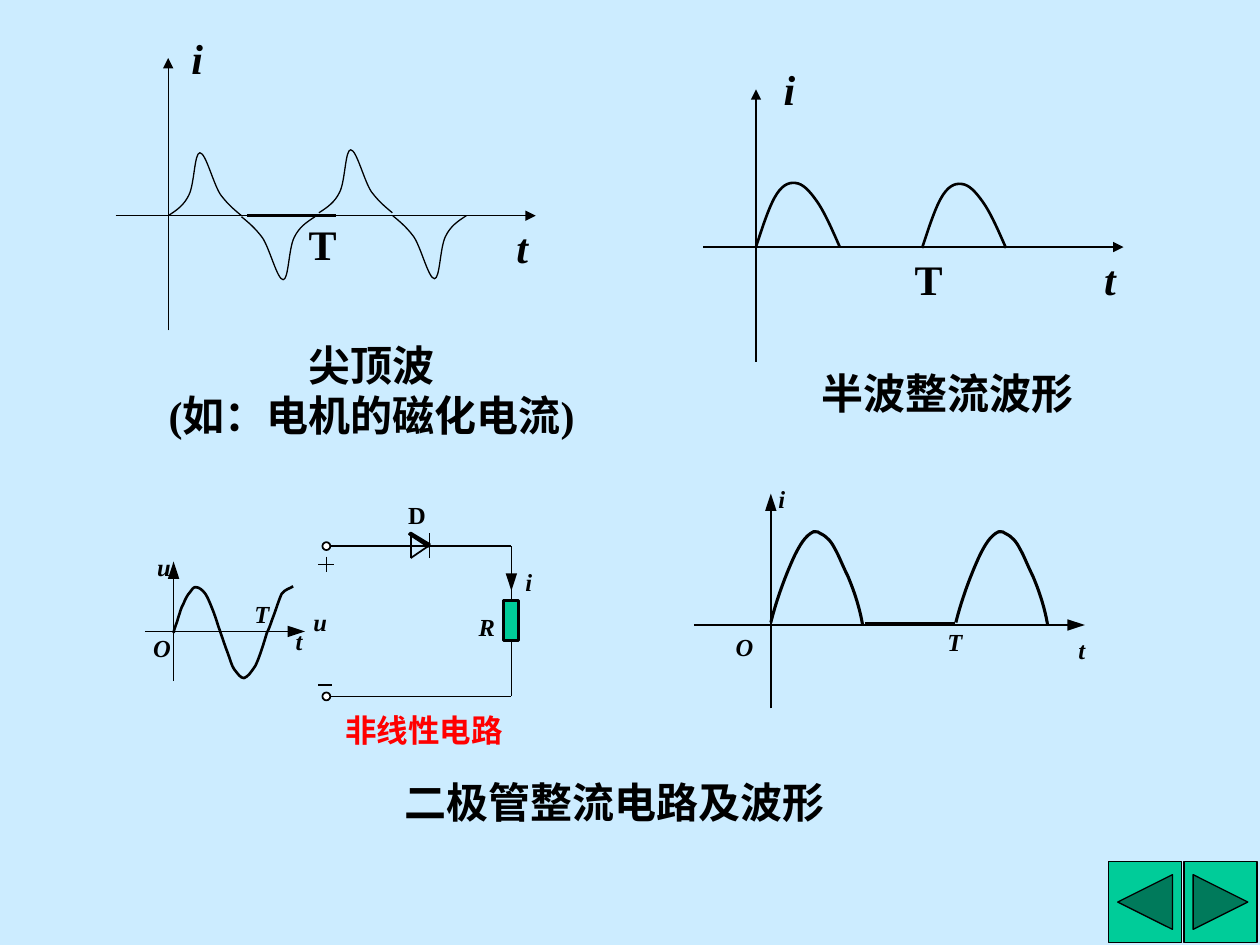
import itertools

import lxml.etree
import pptx
import pptx.dml.color
import pptx.enum.shapes
import pptx.enum.text
import pptx.oxml.ns
import pptx.util

Cm, Pt = pptx.util.Cm, pptx.util.Pt
qn = pptx.oxml.ns.qn
MSO_SHAPE = pptx.enum.shapes.MSO_SHAPE
PP_ALIGN = pptx.enum.text.PP_ALIGN
MSO_ANCHOR = pptx.enum.text.MSO_ANCHOR
SKY = pptx.dml.color.RGBColor(0xCC, 0xEC, 0xFF)
BLACK = pptx.dml.color.RGBColor(0, 0, 0)
WHITE = pptx.dml.color.RGBColor(255, 255, 255)
GREEN = pptx.dml.color.RGBColor(0, 0xCC, 0x99)
RED = pptx.dml.color.RGBColor(255, 0, 0)

LARGE_WIDTHS = {"i": 0.74, "t": 0.74, "T": 1.07}
SMALL_WIDTHS = {"i": 0.13, "t": 0.13, "T": 0.3, "O": 0.36, "u": 0.28, "R": 0.33, "D": 0.36}

SPIKE = [(0, 0), (0.17, -0.11), (0.32, -0.21), (0.42, -0.42), (0.53, -0.64),
         (0.53, -1.27), (0.64, -1.27), (0.76, -1.27), (0.91, -0.64), (1.06, -0.42),
         (1.22, -0.21), (1.35, -0.11), (1.48, 0)]
HALF_WAVE = [(0, 0), (0.14, -0.43), (0.28, -0.86), (0.42, -1.07), (0.56, -1.28),
             (0.7, -1.32), (0.85, -1.28), (0.99, -1.24), (1.13, -1.07), (1.27, -0.86),
             (1.41, -0.64), (1.55, -0.32), (1.69, 0)]
DIODE_WAVE = [(0, -0.05), (0.1, -0.46), (0.28, -0.97), (0.48, -1.4), (0.58, -1.6),
              (0.69, -1.8), (0.86, -1.88), (0.94, -1.88), (0.97, -1.88), (0.99, -1.85),
              (1.14, -1.78), (1.22, -1.68), (1.3, -1.52), (1.37, -1.4), (1.45, -1.19),
              (1.55, -0.99), (1.7, -0.64), (1.8, -0.3), (1.85, 0)]
SINE = [(0, 0.03), (0, -0.03), (0.08, -0.2), (0.1, -0.3), (0.13, -0.38), (0.15, -0.48),
        (0.2, -0.56), (0.23, -0.64), (0.28, -0.74), (0.33, -0.79), (0.36, -0.84),
        (0.41, -0.91), (0.46, -0.89), (0.51, -0.89), (0.58, -0.84), (0.64, -0.76),
        (0.69, -0.69), (0.76, -0.51), (0.81, -0.38), (0.86, -0.25), (0.89, -0.13),
        (0.94, 0), (0.99, 0.15), (1.04, 0.3), (1.09, 0.43), (1.14, 0.56), (1.17, 0.69),
        (1.22, 0.76), (1.3, 0.86), (1.35, 0.94), (1.42, 0.94), (1.5, 0.91), (1.55, 0.84),
        (1.65, 0.69), (1.73, 0.53), (1.83, 0.2), (1.88, 0.03), (1.96, -0.13),
        (1.96, -0.18), (2.01, -0.3), (2.06, -0.43), (2.13, -0.66), (2.18, -0.76),
        (2.26, -0.86), (2.34, -0.86), (2.41, -0.91)]


def style(sp, fill, weight):
    """Set fill and outline, either of which may be None."""
    sp.shadow.inherit = False
    if fill is None:
        sp.fill.background()
    else:
        sp.fill.solid()
        sp.fill.fore_color.rgb = fill
    if weight is None:
        sp.line.fill.background()
    else:
        sp.line.color.rgb = BLACK
        sp.line.width = Pt(weight)


def add_text(s, text, x, y, w, h, size=24, color=BLACK, italic=False, wrap=False,
             inset=None, align=PP_ALIGN.LEFT, anchor=MSO_ANCHOR.TOP):
    """Add a bold text box, one paragraph to a line."""
    tf = s.shapes.add_textbox(Cm(x), Cm(y), Cm(w), Cm(h)).text_frame
    frame = {"text": text, "word_wrap": wrap, "vertical_anchor": anchor,
             "auto_size": pptx.enum.text.MSO_AUTO_SIZE.SHAPE_TO_FIT_TEXT}
    if inset is not None:
        frame.update({f"margin_{side}": Cm(inset) for side in ("left", "top", "right", "bottom")})
    for name, value in frame.items():
        setattr(tf, name, value)
    font = {"name": "Times New Roman", "size": Pt(size), "bold": True, "italic": italic}
    for p in tf.paragraphs:
        p.alignment = align
        for r in p.runs:
            for name, value in font.items():
                setattr(r.font, name, value)
            r.font.color.rgb = color


def add_labels(s, x, y, labels, large=False):
    """Place single-letter labels relative to a point."""
    widths, h, size, inset = (LARGE_WIDTHS, 1.27, 24, None) if large else (SMALL_WIDTHS, 0.58, 14, 0)
    for text, dx, dy, italic in labels:
        add_text(s, text, x + dx, y + dy, widths[text], h, size, italic=italic, inset=inset)


def add_line(s, x1, y1, x2, y2, weight=1, arrow=False):
    """Add a black straight connector."""
    c = s.shapes.add_connector(pptx.enum.shapes.MSO_CONNECTOR.STRAIGHT, Cm(x1), Cm(y1), Cm(x2), Cm(y2))
    c.line.color.rgb = BLACK
    c.line.width = Pt(weight)
    if arrow:
        lxml.etree.SubElement(c.line._get_or_add_ln(), qn("a:tailEnd"), type="triangle")
    lxml.etree.SubElement(c._element.spPr, qn("a:effectLst"))
    return c


def add_outline(s, points, fill=None, weight=None, close=False):
    """Add a freeform through the points."""
    pts = [(Cm(x), Cm(y)) for x, y in points]
    fb = s.shapes.build_freeform(*pts[0], scale=1.0)
    fb.add_line_segments(pts[1:], close=close)
    sp = fb.convert_to_shape()
    style(sp, fill, weight)
    return sp


def add_curve(s, points, x, y, weight, sign=1):
    """Add a Bezier curve; each three points after the first make one segment."""
    sp = add_outline(s, [(x + sign * dx, y + sign * dy) for dx, dy in points], weight=weight)
    lines = list(sp._element.iter(qn("a:lnTo")))
    for trio in zip(*[iter(lines)] * 3):
        bezier = lxml.etree.Element(qn("a:cubicBezTo"))
        trio[0].addprevious(bezier)
        for line in trio:
            bezier.append(line[0])
            line.getparent().remove(line)


def add_arrow(s, x1, y1, x2, y2):
    """Add a horizontal or vertical line with a slim solid head at its end."""
    length = abs(x2 - x1) + abs(y2 - y1)
    ux, uy = (x2 - x1) / length, (y2 - y1) / length
    add_line(s, x1, y1, x2 - 0.31 * ux, y2 - 0.31 * uy)
    bx, by = x2 - 0.35 * ux, y2 - 0.35 * uy
    wx, wy = 0.115 * uy, 0.115 * ux
    add_outline(s, [(bx + wx, by + wy), (x2, y2), (bx - wx, by - wy)], fill=BLACK, close=True)


def large_graph(s, x, y, curve, starts, weight, i_x, t_pos):
    """Draw a current graph in the box whose corner is x, y."""
    add_line(s, x + 1.06, y + 5.49, x + 1.06, y, 0.75, arrow=True)
    add_line(s, x, y + 3.18, x + 8.47, y + 3.18, 0.75, arrow=True)
    for left in (2.65, 2.76):
        add_line(s, x + left, y + 3.18, x + left + 1.69, y + 3.18, 1.5)
    for dx, dy, sign in starts:
        add_curve(s, curve, x + dx, y + dy, weight, sign)
    add_labels(s, x, y, [("i", i_x, -0.64, True), ("t", 7.83, 3.18, True), ("T", *t_pos, False)], large=True)


def small_axes(s, x, y, left, right, up, down, labels):
    """Draw axes that cross at x, y, with their labels."""
    add_arrow(s, x - left, y, x + right, y)
    add_arrow(s, x, y + down, x, y - up)
    add_labels(s, x, y, labels)


def input_graph(s, x, y):
    """Draw the sine voltage about the crossing x, y."""
    small_axes(s, x, y, 0.58, 2.65, 1.41, 1,
               [("t", 2.46, -0.1, True), ("T", 1.63, -0.66, True), ("O", -0.41, 0.03, True), ("u", -0.33, -1.6, True)])
    add_curve(s, SINE, x, y, 1.5)


def output_graph(s, x, y):
    """Draw the rectified current about the crossing x, y."""
    small_axes(s, x, y, 1.55, 6.33, 2.65, 1.68,
               [("t", 6.2, 0.2, True), ("i", 0.15, -2.84, True), ("T", 3.56, 0.05, True), ("O", -0.71, 0.15, True)])
    for dx in (0, 3.73):
        add_curve(s, DIODE_WAVE, x + dx, y, 1.75)
    add_line(s, x + 1.9, y - 0.03, x + 3.71, y - 0.03, 1.75)


def circuit(s, x, y):
    """Draw the diode and resistor circuit in the box whose corner is x, y."""
    top, bottom, right = y + 0.93, y + 3.96, x + 3.81
    resistor = s.shapes.add_shape(MSO_SHAPE.RECTANGLE, Cm(x + 3.66), Cm(y + 2.03), Cm(0.3), Cm(0.81))
    style(resistor, GREEN, 1.75)
    add_line(s, right, top, right, y + 2.03).end_connect(resistor, 0)
    add_line(s, right, y + 2.84, right, bottom).begin_connect(resistor, 2)
    for level in (top, bottom):
        add_line(s, x + 0.16, level, right, level)
        terminal = s.shapes.add_shape(MSO_SHAPE.OVAL, Cm(x), Cm(level - 0.08), Cm(0.16), Cm(0.16))
        style(terminal, WHITE, 1)
    for x1, y1, x2, y2 in [(1.78, 1.17, 1.78, 0.66), (2.16, 1.17, 2.16, 0.66), (2.16, 0.91, 1.78, 1.17),
                           (-0.08, 1.3, 0.23, 1.3), (0.08, 1.14, 0.08, 1.45), (-0.08, 3.73, 0.2, 3.73)]:
        add_line(s, x + x1, y + y1, x + x2, y + y2)
    edge = [(1.78, 0.66), (2.16, 0.89), (2.13, 0.94), (1.75, 0.69)]
    add_outline(s, [(x + dx, y + dy) for dx, dy in edge], BLACK, 1.25, close=True)
    add_arrow(s, right, y + 1.14, right, y + 1.83)
    add_labels(s, x, y, [("u", -0.18, 2.16, True), ("i", 4.09, 1.35, True), ("R", 3.15, 2.26, True), ("D", 1.73, 0, False)])


def buttons(s, x, y):
    """Place the two navigation buttons side by side."""
    kinds = (MSO_SHAPE.ACTION_BUTTON_BACK_OR_PREVIOUS, MSO_SHAPE.ACTION_BUTTON_FORWARD_OR_NEXT)
    for kind, left in zip(kinds, itertools.count(x, 1.52)):
        style(s.shapes.add_shape(kind, Cm(left), Cm(y), Cm(1.47), Cm(1.63)), GREEN, 0.75)


def main():
    """Build the slide and save it."""
    prs = pptx.Presentation()
    prs.slide_width, prs.slide_height = Cm(25.4), Cm(19.05)
    s = prs.slides.add_slide(prs.slide_layouts[6])
    s.background.fill.solid()
    s.background.fill.fore_color.rgb = SKY
    large_graph(s, 14.18, 1.8, HALF_WAVE, [(1.06, 3.18, 1), (4.41, 3.2, 1)], 1.5, 1.37, (4.01, 3.18))
    large_graph(s, 2.33, 1.17, SPIKE, [(1.06, 3.18, 1), (4.02, 3.2, -1), (4.1, 3.12, 1), (7.07, 3.18, -1)],
                0.75, 1.28, (3.64, 3.12))
    add_text(s, "尖顶波\n(如：电机的磁化电流)", 2.69, 6.71, 9.6, 2.29, wrap=True, align=PP_ALIGN.CENTER)
    add_text(s, "半波整流波形", 16.31, 7.29, 6, 1.27, wrap=True)
    input_graph(s, 3.5, 12.73)
    circuit(s, 6.5, 10.08)
    output_graph(s, 15.54, 12.6)
    add_text(s, "二极管整流电路及波形", 7.9, 15.52, 9.25, 1.27, anchor=MSO_ANCHOR.MIDDLE)
    add_text(s, "非线性电路", 6.71, 14.2, 3.96, 1.02, 18, RED, wrap=True)
    buttons(s, 22.35, 17.37)
    prs.save("out.pptx")


if __name__ == "__main__":
    main()
